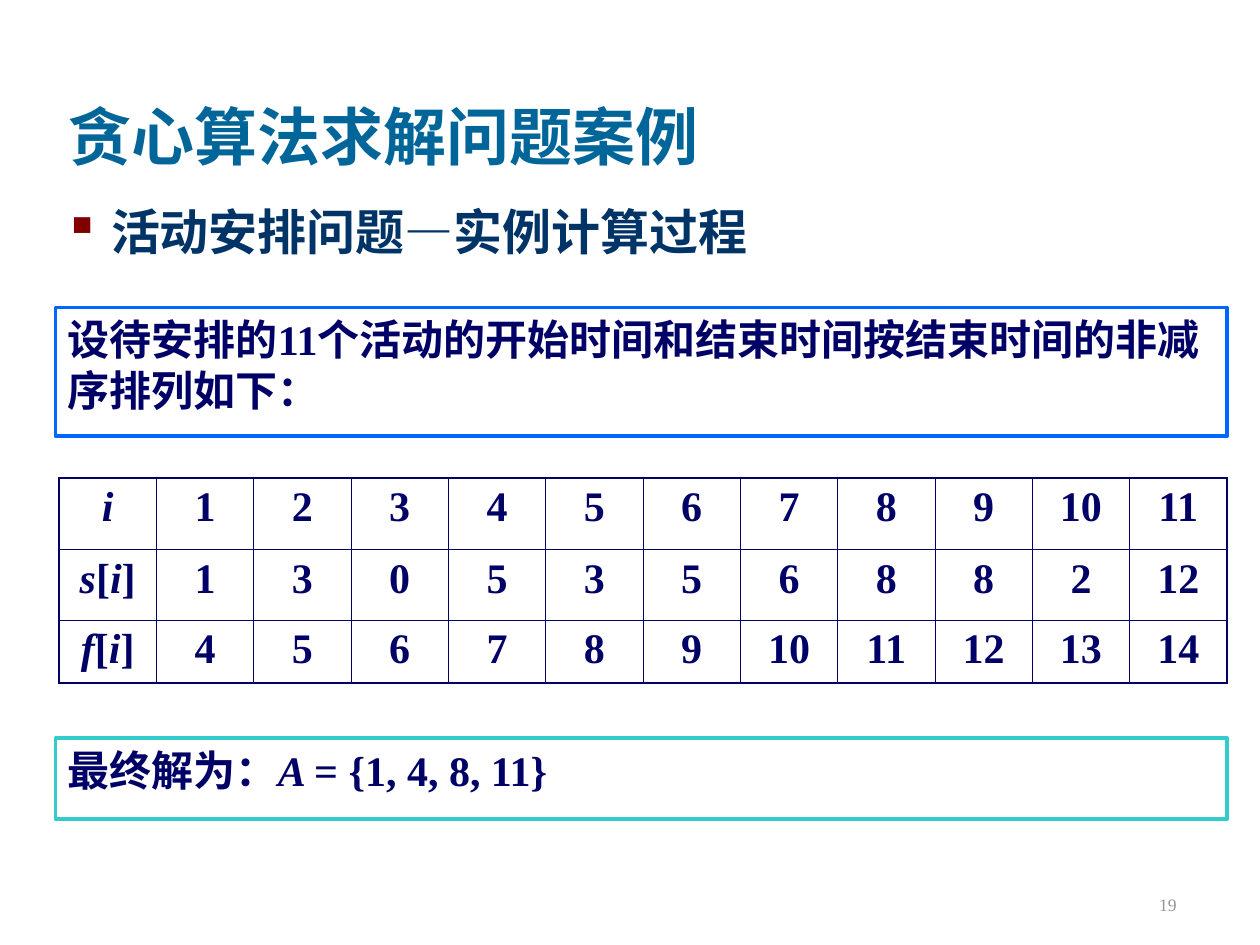
"""Build the slide on the activity selection example for greedy algorithms."""
from lxml import etree
from pptx import Presentation
from pptx.dml.color import RGBColor
from pptx.enum.lang import MSO_LANGUAGE_ID
from pptx.enum.shapes import MSO_SHAPE
from pptx.enum.text import MSO_ANCHOR, PP_ALIGN
from pptx.oxml.ns import qn
from pptx.util import Cm, Pt

LEFT, CENTER, RIGHT = PP_ALIGN.LEFT, PP_ALIGN.CENTER, PP_ALIGN.RIGHT
TOP, BOTTOM = MSO_ANCHOR.TOP, MSO_ANCHOR.BOTTOM
RECTANGLE = MSO_SHAPE.RECTANGLE
CHINESE = MSO_LANGUAGE_ID.SIMPLIFIED_CHINESE
FONT = "Times New Roman"
COLORS = {
    "title": "006699",
    "heading": "003366",
    "bullet": "800000",
    "text": "000066",
    "number": "969696",
    "problem": "0066FF",
    "solution": "33CCCC",
    "white": "FFFFFF",
}


def add_run(paragraph, text, size, color, bold=True, italic=False):
    run = paragraph.add_run()
    run.text = text
    font = run.font
    font.name, font.size, font.bold, font.italic = FONT, Pt(size), bold, italic
    font.color.rgb = RGBColor.from_string(COLORS[color])
    font.language_id = CHINESE


def add_border(cell, side, width):
    line = etree.SubElement(cell._tc.get_or_add_tcPr(), qn(f"a:ln{side}"), w=str(Pt(width)))
    fill = etree.SubElement(line, qn("a:solidFill"))
    etree.SubElement(fill, qn("a:srgbClr"), val=COLORS["text"])


presentation = Presentation()
presentation.slide_width, presentation.slide_height = Cm(25.4), Cm(19.05)
slide = presentation.slides.add_slide(presentation.slide_layouts[5])

title = slide.shapes.title
title.left, title.top, title.width, title.height = Cm(1.12), Cm(0.43), Cm(21.59), Cm(3.18)
title.text_frame.vertical_anchor = BOTTOM
paragraph = title.text_frame.paragraphs[0]
paragraph.alignment = LEFT
add_run(paragraph, "贪心算法求解问题案例", 36, "title")

heading = slide.shapes.add_textbox(Cm(1.04), Cm(3.94), Cm(22.71), Cm(12.37))
heading.text_frame.word_wrap = True
paragraph = heading.text_frame.paragraphs[0]
properties = paragraph._p.get_or_add_pPr()
properties.set("marL", str(Cm(0.95)))
properties.set("indent", str(-Cm(0.95)))
bullet_color = etree.SubElement(properties, qn("a:buClr"))
etree.SubElement(bullet_color, qn("a:srgbClr"), val=COLORS["bullet"])
etree.SubElement(properties, qn("a:buChar"), char="▪")
add_run(paragraph, "活动安排问题—实例计算过程", 28, "heading")

number = slide.shapes.add_textbox(Cm(18.69), Cm(17.3), Cm(5.28), Cm(1.27))
number.text_frame.word_wrap = True
number.text_frame.vertical_anchor = BOTTOM
paragraph = number.text_frame.paragraphs[0]
paragraph.alignment = RIGHT
add_run(paragraph, "19", 10, "number", bold=False)

boxes = [
    ("problem", 6.2, 2.59,
     [("设待安排的11个活动的开始时间和结束时间按结束时间的非减序排列如下：", False)]),
    ("solution", 14.88, 1.63,
     [("最终解为：", False), ("A ", True), ("= {1, 4, 8, 11}", False)]),
]
for color, top, height, runs in boxes:
    box = slide.shapes.add_shape(RECTANGLE, Cm(1.12), Cm(top), Cm(23.62), Cm(height))
    box.shadow.inherit = False
    box.fill.solid()
    box.fill.fore_color.rgb = RGBColor.from_string(COLORS["white"])
    box.line.color.rgb = RGBColor.from_string(COLORS[color])
    box.line.width = Pt(2)
    box.text_frame.word_wrap = True
    box.text_frame.vertical_anchor = TOP
    paragraph = box.text_frame.paragraphs[0]
    paragraph.alignment = LEFT
    for text, italic in runs:
        add_run(paragraph, text, 24, "text", italic=italic)

activities = [
    (["i"], range(1, 12)),
    (["s", "[", "i", "]"], [1, 3, 0, 5, 3, 5, 6, 8, 8, 2, 12]),
    (["f", "[", "i", "]"], range(4, 15)),
]
row_heights = [1.45, 1.42, 1.27]
table = slide.shapes.add_table(
    3, 12, Cm(1.19), Cm(9.63), Cm(23.55), Cm(sum(row_heights))).table
table.first_row = table.horz_banding = False
for column in table.columns:
    column.width = Cm(23.55) // 12
for row_index, (label, values) in enumerate(activities):
    table.rows[row_index].height = Cm(row_heights[row_index])
    for column_index, parts in enumerate([label] + [[str(value)] for value in values]):
        cell = table.cell(row_index, column_index)
        outer_sides = {
            "L": column_index == 0,
            "R": column_index == 11,
            "T": row_index == 0,
            "B": row_index == 2,
        }
        for side, outer in outer_sides.items():
            add_border(cell, side, 1.08 if outer else 0.45)
        cell.fill.background()
        paragraph = cell.text_frame.paragraphs[0]
        paragraph.alignment = CENTER
        for part in parts:
            add_run(paragraph, part, 24, "text", italic=part.isalpha())

presentation.save("out.pptx")
